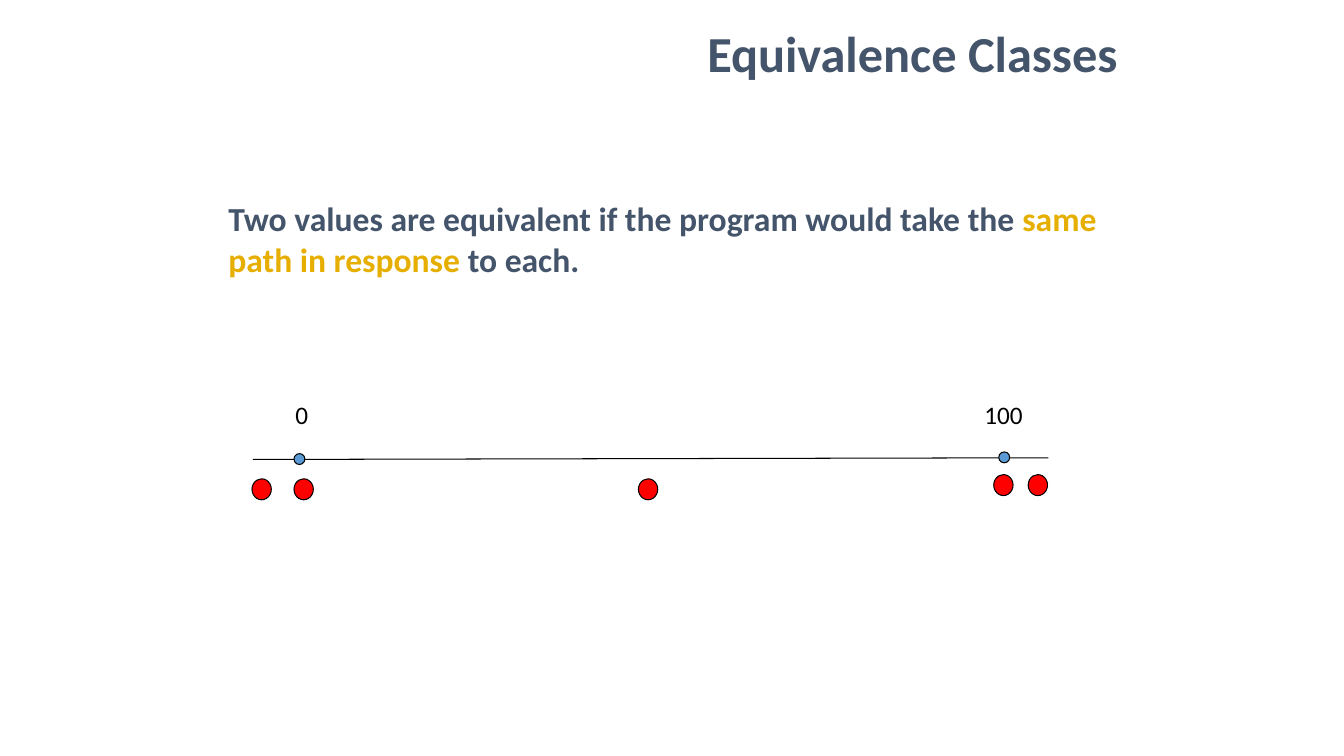
"""Build a slide on equivalence classes with a number line."""
from lxml import etree
from pptx import Presentation
from pptx.dml.color import RGBColor
from pptx.enum.shapes import MSO_CONNECTOR, MSO_SHAPE
from pptx.enum.text import MSO_ANCHOR, MSO_AUTO_SIZE, PP_ALIGN
from pptx.oxml.ns import qn
from pptx.util import Inches, Pt

OVAL = MSO_SHAPE.OVAL
LINE = MSO_CONNECTOR.STRAIGHT
LEFT = PP_ALIGN.LEFT
TOP = MSO_ANCHOR.TOP
FIXED = MSO_AUTO_SIZE.NONE

COLS, ROWS = 160, 90
SLATE, GOLD, BLACK, BLUE, RED = "44546A", "E6AF00", "000000", "5B9BD5", "FF0000"

TITLE = [("Equivalence Classes", SLATE)]
RULE = [
    ("Two values are equivalent if the program would take the ", SLATE),
    ("same path in response ", GOLD),
    ("to each.", SLATE),
]
LABELS = [("0", 34, 4), ("100", 116, 7)]
AXIS = (30.1, 54.7, 124.8, 54.5)
DOTS = [
    (BLUE, (1.3, 1.3), [(35, 54), (118.9, 53.8)]),
    (RED, (2.3, 2.5),
     [(30, 57), (35, 57), (76, 57), (118.3, 56.5), (122.4, 56.5)]),
]

deck = Presentation()
deck.slide_width, deck.slide_height = Inches(13.33), Inches(7.5)
slide = deck.slides.add_slide(deck.slide_layouts[5])
shapes = slide.shapes


def cells(*spans):
    """Turn grid spans, x and y by turns, into slide lengths."""
    sides = (deck.slide_width / COLS, deck.slide_height / ROWS)
    return [round(span * sides[i % 2]) for i, span in enumerate(spans)]


def color(code):
    """Return the colour of a hex string."""
    return RGBColor.from_string(code)


def put(item, form):
    """Set attributes from a dict of format values."""
    for name, value in form.items():
        setattr(item, name, value)


def write(box, runs, size, bold=False, wrap=True):
    """Fill a box with coloured runs of text."""
    frame = box.text_frame
    put(frame, dict(word_wrap=wrap, auto_size=FIXED, vertical_anchor=TOP))
    para = frame.paragraphs[0]
    para.alignment = LEFT
    for words, code in runs:
        run = para.add_run()
        run.text = words
        put(run.font, dict(name="Calibri", size=Pt(size), bold=bold))
        run.font.color.rgb = color(code)


def ink(item):
    """Draw a thin black line."""
    item.line.color.rgb = color(BLACK)
    item.line.width = Pt(0.75)


title = shapes.title
put(title, dict(zip(("left", "top", "width", "height"), cells(83, 2, 56, 8.5))))
write(title, TITLE, 36, bold=True)
write(shapes.add_textbox(*cells(26, 23, 106, 15.7)), RULE, 24, bold=True)

axis = shapes.add_connector(LINE, *cells(*AXIS))
ink(axis)
etree.SubElement(axis.element.spPr, qn("a:effectLst"))

for words, col, wide in LABELS:
    box = shapes.add_textbox(*cells(col, 47, wide, 4.8))
    write(box, [(words, BLACK)], 18, wrap=False)

for code, size, spots in DOTS:
    for spot in spots:
        dot = shapes.add_shape(OVAL, *cells(*spot, *size))
        dot.shadow.inherit = False
        dot.fill.solid()
        dot.fill.fore_color.rgb = color(code)
        ink(dot)

deck.save("out.pptx")
